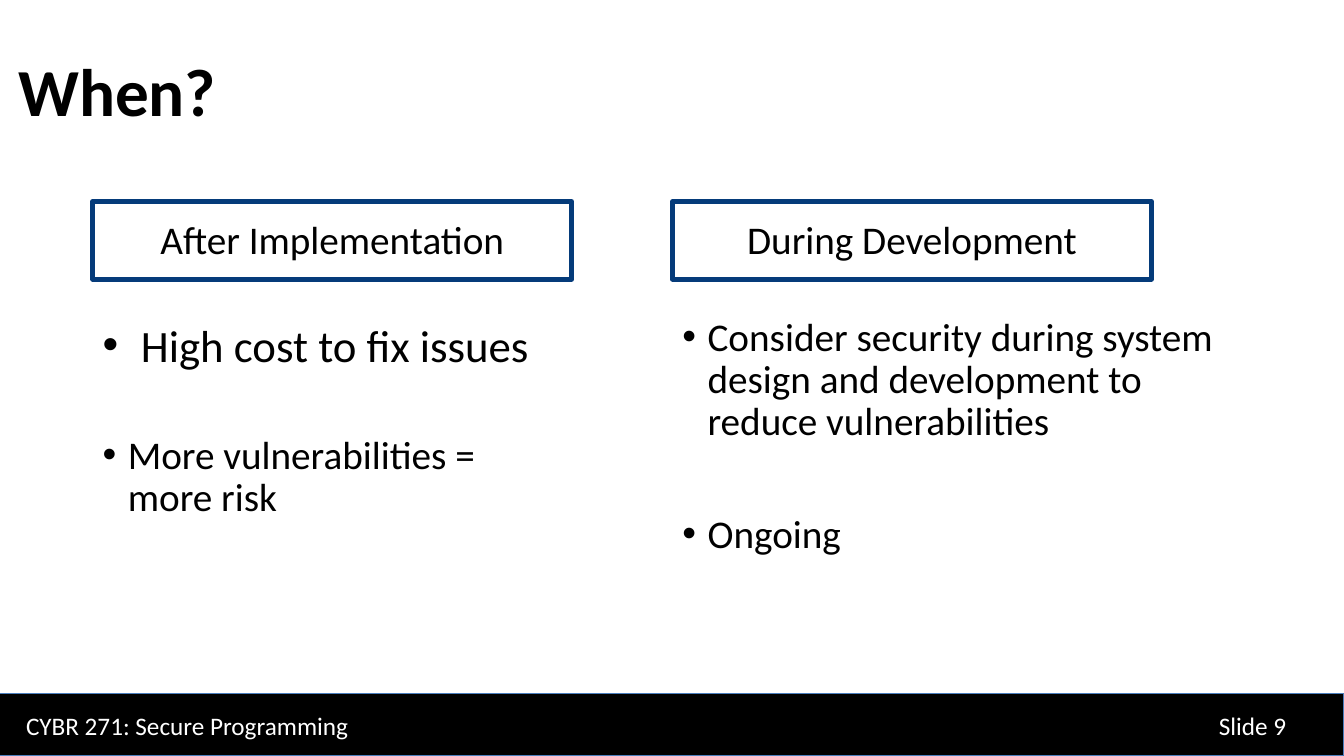
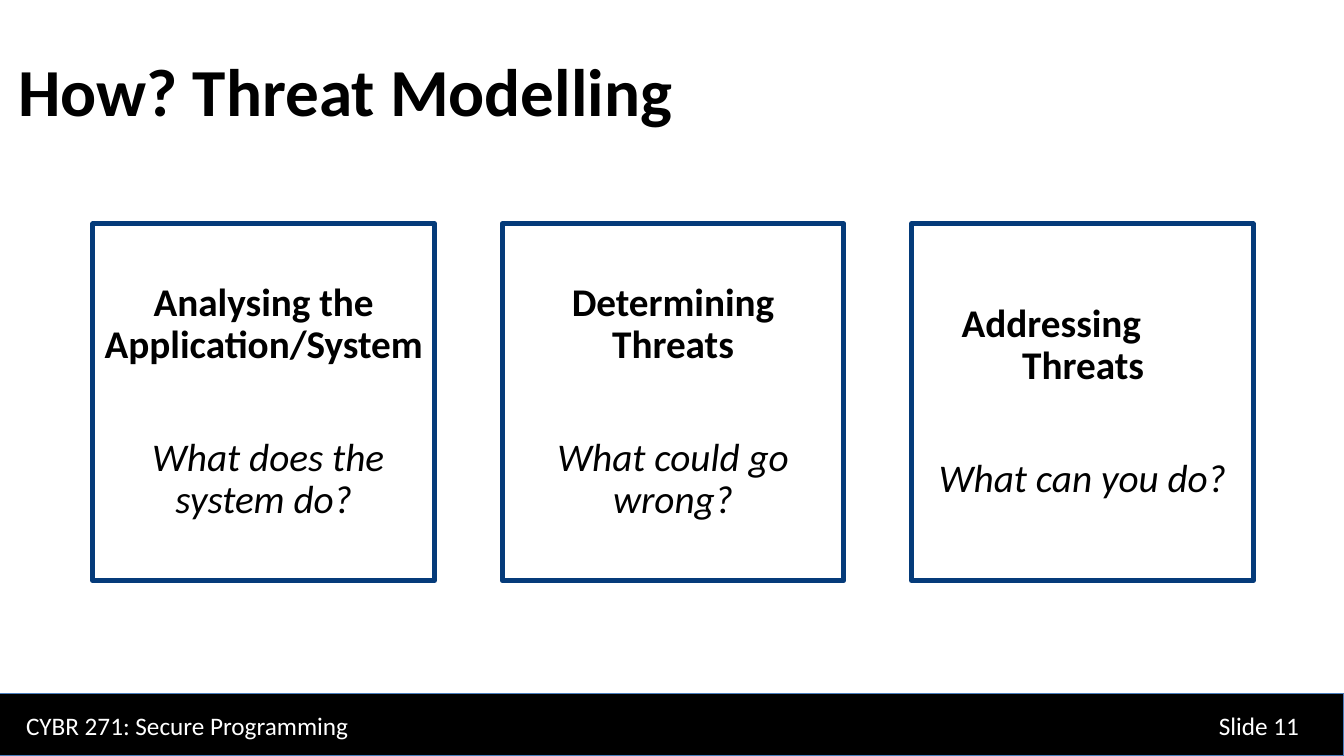
import lxml.etree
import pptx
import pptx.dml.color
import pptx.enum.shapes
import pptx.enum.text
import pptx.oxml.ns
import pptx.util

Inches = pptx.util.Inches
Pt = pptx.util.Pt
ALIGN = pptx.enum.text.PP_ALIGN
ANCHOR = pptx.enum.text.MSO_ANCHOR

COLORS = {"ink": "000000", "paper": "FFFFFF", "frame": "053B7A", "band_edge": "4B7EBC"}
FONT = "Calibri"
LEFT = 0.92
BODY_SIZE = 28
LINE_SPACING = 0.9
SPACE_BEFORE = 10
SECTION_GAP = 50

COLUMNS = [
    (LEFT, "After Implementation"),
    (6.67, "During Development"),
]
BULLETS = [
    ((LEFT, 3.1, 4.75, 0.9), ["High cost to fix issues"],
     {"size": 32, "indent": 0.38, "spacing": 1, "before": 6}),
    ((LEFT, 4.27, 3.97, 1.33), ["More vulnerabilities = more risk"], {}),
    ((6.67, 3.1, 5.75, 2.84),
     ["Consider security during system design and development to reduce vulnerabilities",
      "Ongoing"], {}),
]
STEPS = [
    ("Analysing the Application/System", " What does the system do?", None),
    ("Determining Threats", "What could go wrong?", None),
    ("Addressing Threats", "What can you do?", (1.0, -0.6)),
]


def rgb(name):
    return pptx.dml.color.RGBColor.from_string(COLORS[name])


def inches(box):
    return [Inches(length) for length in box]


def style_runs(paragraph, size, color="ink", bold=False, italic=False):
    for run in paragraph.runs:
        run.font.name = FONT
        run.font.size = Pt(size)
        run.font.bold = bold
        run.font.italic = italic
        run.font.color.rgb = rgb(color)


def space_lines(paragraph, spacing=LINE_SPACING, before=SPACE_BEFORE):
    paragraph.line_spacing = spacing
    paragraph.space_before = Pt(before)


def set_indent(paragraph, left, first_line):
    properties = paragraph._p.get_or_add_pPr()
    properties.set("marL", str(Inches(left)))
    properties.set("indent", str(Inches(first_line)))
    return properties


def set_bullet(paragraph, indent):
    properties = set_indent(paragraph, indent, -indent)
    for tag, attribute, value in (("a:buFont", "typeface", "Arial"),
                                  ("a:buChar", "char", "\u2022")):
        mark = lxml.etree.SubElement(properties, pptx.oxml.ns.qn(tag))
        mark.set(attribute, value)


def add_rect(slide, box):
    rect = slide.shapes.add_shape(
        pptx.enum.shapes.MSO_SHAPE.RECTANGLE, *inches(box))
    rect.shadow.inherit = False
    return rect


def add_frame(slide, box):
    frame = add_rect(slide, box)
    frame.fill.background()
    frame.line.color.rgb = rgb("frame")
    frame.line.width = Pt(3.5)
    frame.text_frame.word_wrap = True
    frame.text_frame.vertical_anchor = ANCHOR.MIDDLE
    return frame.text_frame


def add_text(slide, box):
    text_frame = slide.shapes.add_textbox(*inches(box)).text_frame
    text_frame.word_wrap = True
    return text_frame


def add_bullets(slide, box, items, size=BODY_SIZE, indent=0.25,
                spacing=LINE_SPACING, before=SPACE_BEFORE):
    text_frame = add_text(slide, box)
    text_frame.text = "\n".join(items)
    for index, paragraph in enumerate(text_frame.paragraphs):
        space_lines(paragraph, spacing, SECTION_GAP if index else before)
        set_bullet(paragraph, indent)
        style_runs(paragraph, size)


def add_column_heading(slide, left, text):
    heading = add_frame(slide, (left, 2, 4.75, 0.77))
    heading.margin_top = Inches(0.08)
    heading.text = text
    paragraph = heading.paragraphs[0]
    paragraph.alignment = ALIGN.CENTER
    space_lines(paragraph)
    style_runs(paragraph, BODY_SIZE)


def add_step(slide, left, name, question, hanging):
    step = add_frame(slide, (left, 2.22, 3.39, 3.54))
    step.text = f"{name}\n{question}"
    name_line, question_line = step.paragraphs
    name_line.alignment = question_line.alignment = ALIGN.CENTER
    if hanging:
        name_line.alignment = ALIGN.LEFT
        set_indent(name_line, *hanging)
    space_lines(name_line)
    space_lines(question_line, before=SECTION_GAP)
    style_runs(name_line, BODY_SIZE, bold=True)
    style_runs(question_line, BODY_SIZE, italic=True)


def add_footer(slide, number):
    band = add_rect(slide, (0, 6.88, 13.33, 0.62))
    band.fill.solid()
    band.fill.fore_color.rgb = rgb("ink")
    band.line.color.rgb = rgb("band_edge")
    band.line.width = Pt(0.75)
    for left, width, text in ((0.16, 4.89, "CYBR 271: Secure Programming"),
                              (11.99, 1.09, f"Slide {number}")):
        label = add_text(slide, (left, 7, width, 0.4))
        label.text = text
        style_runs(label.paragraphs[0], 18, "paper")


def add_slide(deck, title, title_width, number):
    slide = deck.slides.add_slide(deck.slide_layouts[5])
    heading = slide.shapes.title
    heading.left, heading.top, heading.width, heading.height = inches(
        (0.08, 0.44, title_width, 0.91))
    text_frame = heading.text_frame
    text_frame.text = title
    text_frame.auto_size = pptx.enum.text.MSO_AUTO_SIZE.NONE
    text_frame.vertical_anchor = ANCHOR.TOP
    text_frame.paragraphs[0].alignment = ALIGN.LEFT
    style_runs(text_frame.paragraphs[0], 48, bold=True)
    add_footer(slide, number)
    return slide


def main():
    deck = pptx.Presentation()
    deck.slide_width = Inches(13.33)
    deck.slide_height = Inches(7.5)

    when = add_slide(deck, "When?", 4.34, 9)
    for left, text in COLUMNS:
        add_column_heading(when, left, text)
    for box, items, options in BULLETS:
        add_bullets(when, box, items, **options)

    how = add_slide(deck, "How? Threat Modelling", 8.29, 11)
    for index, step in enumerate(STEPS):
        add_step(how, LEFT + index * 4.06, *step)

    deck.save("out.pptx")


main()
